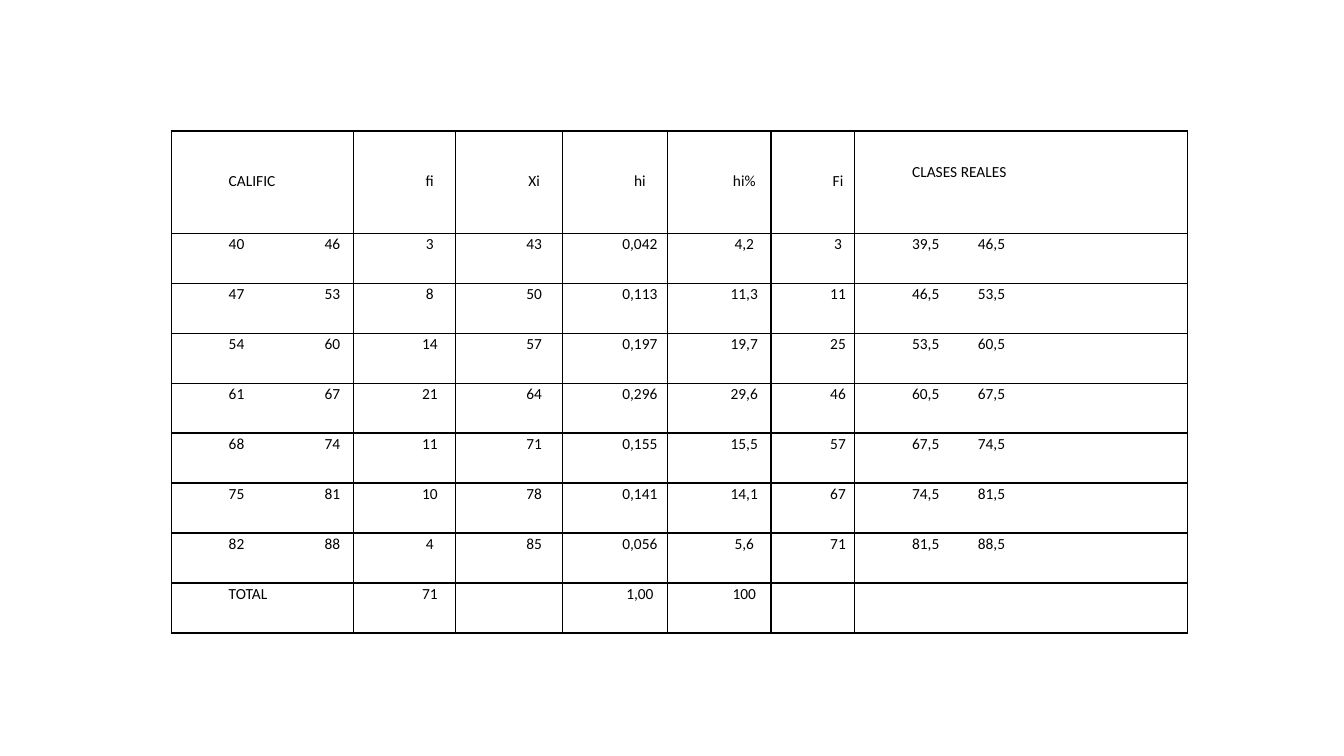
"""Build a slide with a grouped frequency table of grades."""
from lxml.etree import SubElement
from pptx import Presentation
from pptx.dml.color import RGBColor
from pptx.enum.text import PP_ALIGN
from pptx.oxml.ns import qn
from pptx.util import Pt

COLORS = {"ink": "000000"}
COLUMN_WIDTHS = [130.3, 72.7, 76.3, 74.9, 74.2, 59.8, 237.6]
HEADER_HEIGHT, ROW_HEIGHT = 73, 35.7
TAB_STOPS = {0: 68.5, 6: 47}
ROWS = [
    ["CALIFIC", "fi", "Xi", "hi", "hi%", "Fi", "CLASES REALES"],
    ["40\t46", "3", "43", "0,042", "4,2", "3", "39,5\t46,5"],
    ["47\t53", "8", "50", "0,113", "11,3", "11", "46,5\t53,5"],
    ["54\t60", "14", "57", "0,197", "19,7", "25", "53,5\t60,5"],
    ["61\t67", "21", "64", "0,296", "29,6", "46", "60,5\t67,5"],
    ["68\t74", "11", "71", "0,155", "15,5", "57", "67,5\t74,5"],
    ["75\t81", "10", "78", "0,141", "14,1", "67", "74,5\t81,5"],
    ["82\t88", "4", "85", "0,056", "5,6", "71", "81,5\t88,5"],
    ["TOTAL", "71", "", "1,00", "100", "", ""],
]


def add_borders(cell):
    properties = cell._tc.get_or_add_tcPr()
    for side in ("a:lnL", "a:lnR", "a:lnT", "a:lnB"):
        line = SubElement(properties, qn(side), w=str(Pt(1)))
        fill = SubElement(line, qn("a:solidFill"))
        SubElement(fill, qn("a:srgbClr"), val=COLORS["ink"])


def add_tab_stop(paragraph, position):
    tab_list = SubElement(paragraph._p.get_or_add_pPr(), qn("a:tabLst"))
    SubElement(tab_list, qn("a:tab"), pos=str(Pt(position)), algn="l")


presentation = Presentation()
presentation.slide_width = Pt(960)
presentation.slide_height = Pt(540)
slide = presentation.slides.add_slide(presentation.slide_layouts[6])

table_height = HEADER_HEIGHT + ROW_HEIGHT * (len(ROWS) - 1)
table = slide.shapes.add_table(
    len(ROWS), len(COLUMN_WIDTHS), Pt(122.4), Pt(93.6), Pt(sum(COLUMN_WIDTHS)), Pt(table_height)
).table
table.first_row = False
table.horz_banding = False
for column, width in zip(table.columns, COLUMN_WIDTHS):
    column.width = Pt(width)

for row_index, values in enumerate(ROWS):
    is_header = row_index == 0
    table.rows[row_index].height = Pt(HEADER_HEIGHT if is_header else ROW_HEIGHT)
    for column_index, value in enumerate(values):
        is_class_column = column_index in TAB_STOPS
        cell = table.cell(row_index, column_index)
        cell.margin_left, cell.margin_right = Pt(41), Pt(5)
        cell.margin_top = cell.margin_bottom = Pt(0)
        if is_header:
            cell.margin_top = Pt(21.5 if column_index == 6 else 28)
        add_borders(cell)
        cell.fill.background()
        cell.text = value
        paragraph = cell.text_frame.paragraphs[0]
        paragraph.alignment = PP_ALIGN.LEFT if is_class_column else PP_ALIGN.CENTER
        paragraph.line_spacing = 1.07
        if "\t" in value:
            add_tab_stop(paragraph, TAB_STOPS[column_index])
        paragraph.font.name = "Calibri"
        paragraph.font.size = Pt(11)
        paragraph.font.color.rgb = RGBColor.from_string(COLORS["ink"])

presentation.save("out.pptx")
